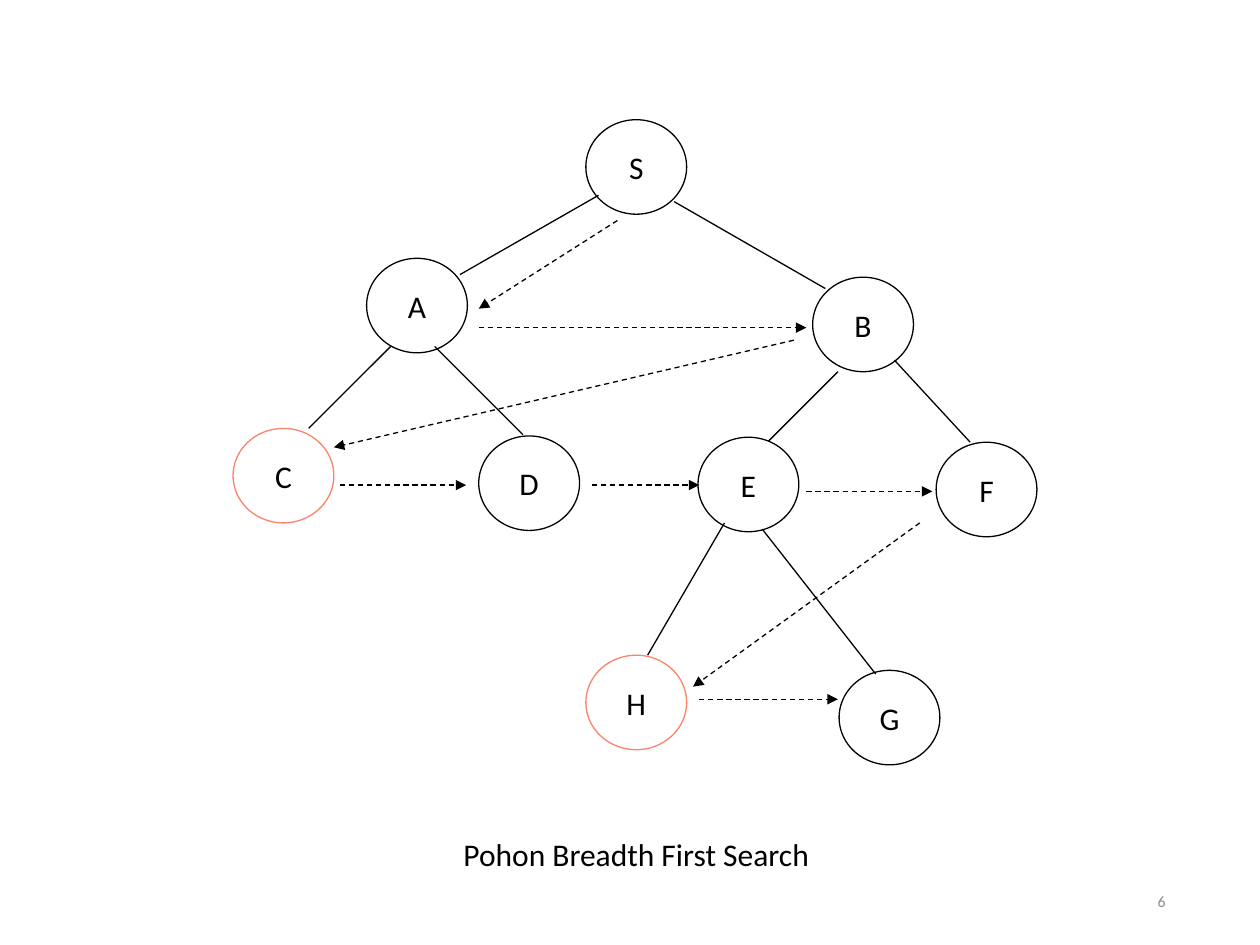
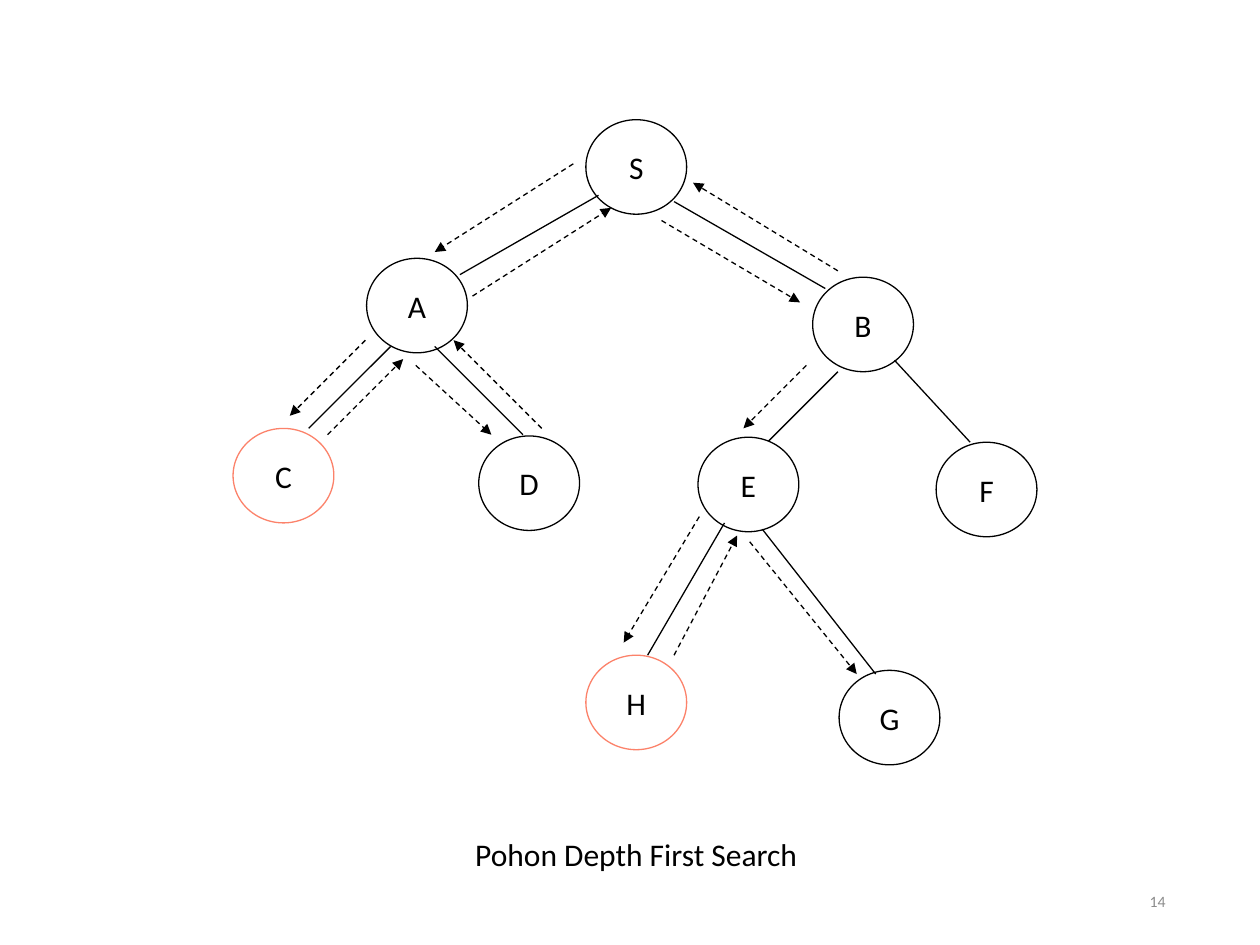
from lxml.etree import SubElement
from pptx import Presentation
from pptx.dml.color import RGBColor
from pptx.enum.dml import MSO_LINE_DASH_STYLE as Dash
from pptx.enum.shapes import MSO_CONNECTOR_TYPE as Link, MSO_SHAPE as Shape
from pptx.enum.text import MSO_ANCHOR as Anchor, PP_ALIGN as Align
from pptx.oxml.ns import qn
from pptx.util import Cm, Pt

BLACK = RGBColor(0x00, 0x00, 0x00)
CORAL = RGBColor(0xFC, 0x82, 0x6A)
GREY = RGBColor(0x8C, 0x8C, 0x8C)
FONT = "Calibri"
LINE_WIDTH = Pt(0.75)

# All places are in grid units of this many centimetres
UNIT = 2.54
PAGE_SIZE = (10, 7.5)
NODE_SIZE = (0.8, 0.75)
NUMBER_BOX = (7.06, 6.95, 2.25, 0.4)
CAPTION_BOX = (2.5, 6.55, 5.1, 0.45)

# The tree: left and top of each node, then the branches between nodes
NODES = {
    "S": (4.65, 0.95),
    "A": (2.91, 2.05), "B": (6.45, 2.2),
    "C": (1.85, 3.4), "D": (3.8, 3.46), "E": (5.54, 3.47), "F": (7.43, 3.51),
    "H": (4.65, 5.2), "G": (6.66, 5.32),
}
MARKED_NODES = "CH"
BRANCHES = {
    "SA": (4.75, 1.55, 3.65, 2.18), "SB": (5.35, 1.6, 6.55, 2.29),
    "AC": (3.1, 2.75, 2.45, 3.4), "AD": (3.45, 2.75, 4.15, 3.45),
    "BE": (6.65, 2.95, 6.1, 3.5), "BF": (7.1, 2.86, 7.7, 3.51),
    "EH": (5.75, 4.15, 5.14, 5.2), "EG": (6.05, 4.2, 6.95, 5.35),
}

# The searches: each visit is an arrow from one node to the next
SEARCHES = [
    {
        "number": "6",
        "caption": "Pohon Breadth First Search",
        "visits": {
            "SA": (4.9, 1.75, 3.8, 2.45), "AB": (3.8, 2.6, 6.4, 2.6),
            "BC": (6.3, 2.7, 2.65, 3.55), "CD": (2.7, 3.85, 3.7, 3.85),
            "DE": (4.7, 3.85, 5.55, 3.85), "EF": (6.4, 3.9, 7.4, 3.9),
            "FH": (7.3, 4.15, 5.5, 5.45), "HG": (5.55, 5.55, 6.65, 5.55),
        },
    },
    {
        "number": "14",
        "caption": "Pohon Depth First Search",
        "visits": {
            "SA": (4.55, 1.3, 3.45, 2), "AS": (3.75, 2.35, 4.85, 1.65),
            "AC": (2.9, 2.7, 2.3, 3.3), "CA": (2.6, 3.45, 3.2, 2.85),
            "AD": (3.3, 2.9, 3.9, 3.45), "DA": (4.3, 3.4, 3.6, 2.7),
            "SB": (5.25, 1.75, 6.35, 2.4), "BS": (6.65, 2.15, 5.5, 1.45),
            "BE": (6.4, 2.9, 5.9, 3.4), "EH": (5.55, 4.1, 4.95, 5.1),
            "HE": (5.35, 5.2, 5.85, 4.25), "EG": (5.95, 4.3, 6.8, 5.35),
        },
    },
]

# Text formats: frame settings and font size, colour and alignment
LABEL = {
    "frame": {"word_wrap": False, "vertical_anchor": Anchor.MIDDLE,
              "margin_left": Cm(0.25), "margin_right": Cm(0.25),
              "margin_top": Cm(0.13), "margin_bottom": Cm(0.13)},
    "size": Pt(18), "color": BLACK, "align": Align.CENTER,
}
PAGE_NUMBER = {
    "frame": {"word_wrap": True, "vertical_anchor": Anchor.MIDDLE,
              "margin_left": Cm(0.15), "margin_right": Cm(0.15),
              "margin_top": Cm(0.08), "margin_bottom": Cm(0.08)},
    "size": Pt(9), "color": GREY, "align": Align.RIGHT,
}


def grid(values):
    return [Cm(value * UNIT) for value in values]


def write(shape, text, style):
    frame = shape.text_frame
    for name, value in style["frame"].items():
        setattr(frame, name, value)
    para = frame.paragraphs[0]
    para.alignment = style["align"]
    span = para.add_run()
    span.text = text
    for name, value in {"name": FONT, "size": style["size"]}.items():
        setattr(span.font, name, value)
    span.font.color.rgb = style["color"]


def add_node(tree, name, place):
    node = tree.shapes.add_shape(Shape.OVAL, *grid(place + NODE_SIZE))
    node.shadow.inherit = False
    node.fill.background()
    node.line.color.rgb = CORAL if name in MARKED_NODES else BLACK
    node.line.width = LINE_WIDTH
    write(node, name, LABEL)


def add_line(tree, ends, is_visit=False):
    line = tree.shapes.add_connector(Link.STRAIGHT, *grid(ends))
    line.line.color.rgb = BLACK
    line.line.width = LINE_WIDTH
    properties = line.element.spPr
    if is_visit:
        line.line.dash_style = Dash.DASH
        SubElement(properties.find(qn("a:ln")), qn("a:tailEnd"), type="triangle")
    SubElement(properties, qn("a:effectLst"))


def add_search(deck, search):
    page = deck.slides.add_slide(deck.slide_layouts[6])
    write(page.shapes.add_textbox(*grid(NUMBER_BOX)), search["number"], PAGE_NUMBER)

    # Nodes and caption, then branches and visits
    tree = page.shapes.add_group_shape()
    for name, place in NODES.items():
        add_node(tree, name, place)
    write(tree.shapes.add_textbox(*grid(CAPTION_BOX)), search["caption"], LABEL)
    for ends in BRANCHES.values():
        add_line(tree, ends)
    for ends in search["visits"].values():
        add_line(tree, ends, is_visit=True)


def main():
    deck = Presentation()
    deck.slide_width, deck.slide_height = grid(PAGE_SIZE)
    for search in SEARCHES:
        add_search(deck, search)
    deck.save("out.pptx")


if __name__ == "__main__":
    main()
